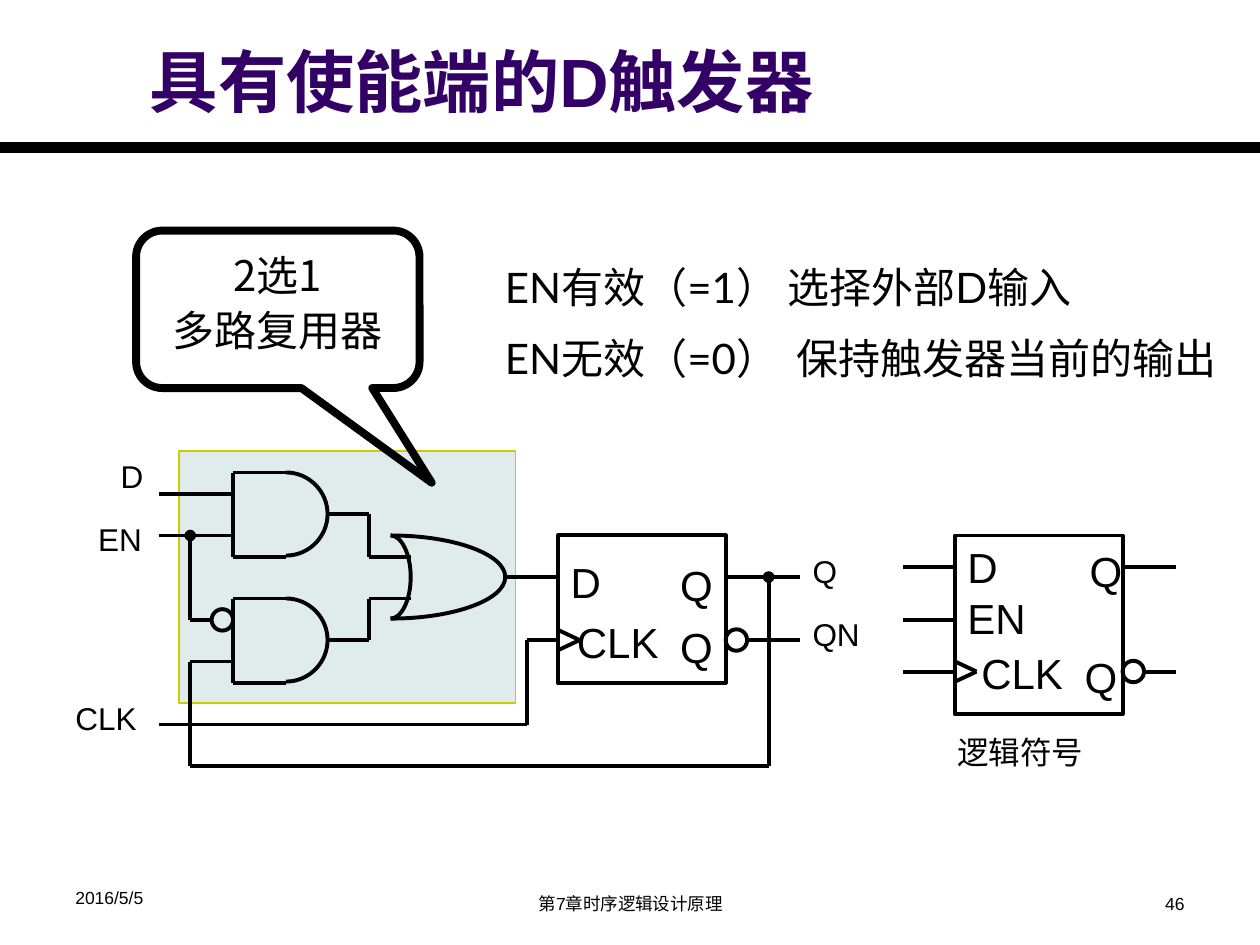
from lxml import etree
from pptx import Presentation
from pptx.dml.color import RGBColor
from pptx.enum import shapes, text
from pptx.oxml import ns
from pptx.util import Inches, Pt

COLORS = {"ink": "000000", "title": "330066", "mux": "E0EBEB", "mux_edge": "CCCC00"}
LEFT, CENTER, RIGHT = text.PP_ALIGN.LEFT, text.PP_ALIGN.CENTER, text.PP_ALIGN.RIGHT
CJK = "Noto Sans CJK SC"
WIRE = 2.25

TITLE = "具有使能端的D触发器"
CALLOUT = ["2选1", "多路复用器"]
NOTES = ["EN有效（=1） 选择外部D输入", "EN无效（=0）  保持触发器当前的输出"]
FOOTERS = [
    ("2016/5/5", (0.5, 6.99, 2.33, 0.34), LEFT),
    ("第7章时序逻辑设计原理", (3.42, 7.04, 3.17, 0.29), CENTER),
    ("46", (7.17, 7.04, 2.33, 0.29), RIGHT),
]
LABELS = [
    ("D", (0.86, 3.58, 0.4, 0.5)),
    ("EN", (0.68, 4.08, 0.58, 0.5)),
    ("CLK", (0.5, 5.5, 0.76, 0.5)),
    ("Q", (6.35, 4.33, 0.41, 0.5)),
    ("QN", (6.35, 4.83, 0.58, 0.4)),
    ("逻辑符号", (7.5, 5.77, 1.54, 0.5)),
]
FLIP_FLOPS = [
    {"box": (4.43, 4.25, 1.33, 1.17), "clock_y": 5.08,
     "inputs": [("D", 1.3, 0), ("CLK", 1.2, 0.05)],
     "outputs": [(5.3, 4.39), (5.3, 4.88)]},
    {"box": (7.58, 4.25, 1.33, 1.42), "clock_y": 5.33,
     "inputs": [("D", 1, 0), ("EN", 1, 0), ("CLK", 1.1, 0.11)],
     "outputs": [(8.55, 4.28), (8.51, 5.12)]},
]
AND_GATE_TOPS = [3.75, 4.75]
OR_GATE = (3.1, 4.25)
BUBBLE = 0.17
BEZIER = 0.55
WIRES = [
    [(1.26, 3.92), (1.85, 3.92)],
    [(1.26, 4.25), (1.85, 4.25)],
    [(1.51, 4.92), (1.68, 4.92)],
    [(2.6, 4.08), (2.93, 4.08), (2.93, 4.42), (3.26, 4.42)],
    [(2.6, 5.08), (2.93, 5.08), (2.93, 4.75), (3.26, 4.75)],
    [(4.01, 4.58), (4.43, 4.58)],
    [(5.76, 4.58), (6.35, 4.58)],
    [(5.93, 5.08), (6.35, 5.08)],
    [(1.26, 5.75), (4.18, 5.75), (4.18, 5.08), (4.43, 5.08)],
    [(1.85, 5.25), (1.51, 5.25), (1.51, 6.08), (6.1, 6.08)],
    [(7.17, 4.5), (7.58, 4.5)],
    [(7.17, 4.92), (7.58, 4.92)],
    [(7.17, 5.33), (7.58, 5.33)],
    [(8.92, 4.5), (9.33, 4.5)],
    [(9.08, 5.33), (9.33, 5.33)],
]
BRANCHES = [[(1.51, 4.25), (1.51, 4.92)], [(6.1, 4.58), (6.1, 6.08)]]


def rgb(name):
    return RGBColor.from_string(COLORS[name])


def write(shape, lines, size, font="Arial", align=LEFT, spacing=None, color="ink", bold=False):
    frame = shape.text_frame
    frame.word_wrap = True
    frame.text = "\n".join(lines)
    for paragraph in frame.paragraphs:
        paragraph.alignment = align
        paragraph.line_spacing = spacing
        for run in paragraph.runs:
            run.font.size, run.font.name, run.font.bold = Pt(size), font, bold
            run.font.color.rgb = rgb(color)
            east_asian = etree.SubElement(run.font._element, ns.qn("a:ea"))
            east_asian.set("typeface", CJK)


def add_text(slide, lines, box, size, **style):
    shape = slide.shapes.add_textbox(*map(Inches, box))
    write(shape, lines, size, **style)


def outline(shape, fill=None, line="ink", width=WIRE):
    shape.shadow.inherit = False
    if fill:
        shape.fill.solid()
        shape.fill.fore_color.rgb = rgb(fill)
    else:
        shape.fill.background()
    shape.line.color.rgb = rgb(line)
    shape.line.width = Pt(width)


def add_preset(slide, kind, box, **style):
    shape = slide.shapes.add_shape(kind, *map(Inches, box))
    outline(shape, **style)
    return shape


def add_wire(slide, points, width=WIRE, dot=False):
    for start, end in zip(points, points[1:]):
        connector = slide.shapes.add_connector(
            shapes.MSO_CONNECTOR.STRAIGHT, *map(Inches, start + end))
        connector.line.color.rgb = rgb("ink")
        connector.line.width = Pt(width)
        if dot:
            head = etree.SubElement(connector.line._get_or_add_ln(), ns.qn("a:headEnd"))
            head.set("type", "oval")
        etree.SubElement(connector._element.spPr, ns.qn("a:effectLst"))


def add_half_ellipse(slide, left, top, width, radius):
    builder = slide.shapes.build_freeform(Inches(left), Inches(top))
    corners = [(left + width, top + radius), (left, top + 2 * radius)]
    builder.add_line_segments([(Inches(x), Inches(y)) for x, y in corners], close=False)
    shape = builder.convert_to_shape()
    outline(shape)
    bend_x, bend_y = BEZIER * width, BEZIER * radius
    curves = [
        [(bend_x, 0), (width, radius - bend_y), (width, radius)],
        [(width, radius + bend_y), (bend_x, 2 * radius), (0, 2 * radius)],
    ]
    lines = list(shape._element.iter(ns.qn("a:lnTo")))
    for line, points in zip(lines, curves):
        curve = etree.Element(ns.qn("a:cubicBezTo"))
        for x, y in points:
            point = etree.SubElement(curve, ns.qn("a:pt"))
            point.set("x", str(Inches(x)))
            point.set("y", str(Inches(y)))
        line.getparent().replace(line, curve)


def add_bubble(slide, left, center_y):
    add_preset(slide, shapes.MSO_SHAPE.OVAL, (left, center_y - BUBBLE / 2, BUBBLE, BUBBLE))


def add_and_gate(slide, top):
    add_half_ellipse(slide, 2.27, top, 0.33, 0.33)
    add_wire(slide, [(2.27, top), (1.85, top), (1.85, top + 0.67), (2.27, top + 0.67)])


def add_flip_flop(slide, box, clock_y, inputs, outputs):
    left, top, width, height = box
    shape = add_preset(slide, shapes.MSO_SHAPE.RECTANGLE, box)
    write(shape, [label for label, _, _ in inputs], 24)
    shape.text_frame.margin_bottom = Inches(0.13)
    for paragraph, (_, spacing, indent) in zip(shape.text_frame.paragraphs, inputs):
        paragraph.line_spacing = spacing
        paragraph._p.get_or_add_pPr().set("marL", str(Inches(indent)))
    for position in outputs:
        add_text(slide, ["Q"], position + (0.48, 0.48), 24)
    add_wire(slide, [(left, clock_y - 0.08), (left + 0.17, clock_y), (left, clock_y + 0.08)])
    add_bubble(slide, left + width, clock_y)


def main():
    presentation = Presentation()
    presentation.slide_width, presentation.slide_height = Inches(10), Inches(7.5)
    slide = presentation.slides.add_slide(presentation.slide_layouts[5])

    title = slide.shapes.title
    title.left, title.top, title.width, title.height = map(Inches, (1.09, 0.2, 7.55, 0.81))
    write(title, [TITLE], 39, color="title", bold=True)
    title.text_frame.vertical_anchor = text.MSO_ANCHOR.BOTTOM
    add_wire(slide, [(0, 1.17), (10, 1.17)], width=6)

    add_preset(slide, shapes.MSO_SHAPE.RECTANGLE, (1.42, 3.58, 2.67, 2),
               fill="mux", line="mux_edge", width=0.75)
    callout = add_preset(slide, shapes.MSO_SHAPE.ROUNDED_RECTANGULAR_CALLOUT,
                         (1.08, 1.83, 2.25, 1.25), width=4.5)
    for index, value in enumerate((0.543, 1.101, 0.167)):
        callout.adjustments[index] = value
    write(callout, CALLOUT, 24, font=CJK, align=CENTER, spacing=1.1)
    callout.text_frame.vertical_anchor = text.MSO_ANCHOR.TOP
    add_text(slide, NOTES, (3.91, 1.87, 5.97, 1.23), 24, font="Lato", spacing=1.4)

    for flip_flop in FLIP_FLOPS:
        add_flip_flop(slide, **flip_flop)
    for top in AND_GATE_TOPS:
        add_and_gate(slide, top)
    for width in (0.16, 0.91):
        add_half_ellipse(slide, *OR_GATE, width, 0.33)
    add_bubble(slide, 1.68, 4.92)
    for points in WIRES:
        add_wire(slide, points)
    for points in BRANCHES:
        add_wire(slide, points, dot=True)

    for label, box in LABELS:
        add_text(slide, [label], box, 18)
    for label, box, align in FOOTERS:
        add_text(slide, [label], box, 10, align=align)
    presentation.save("out.pptx")


if __name__ == "__main__":
    main()
